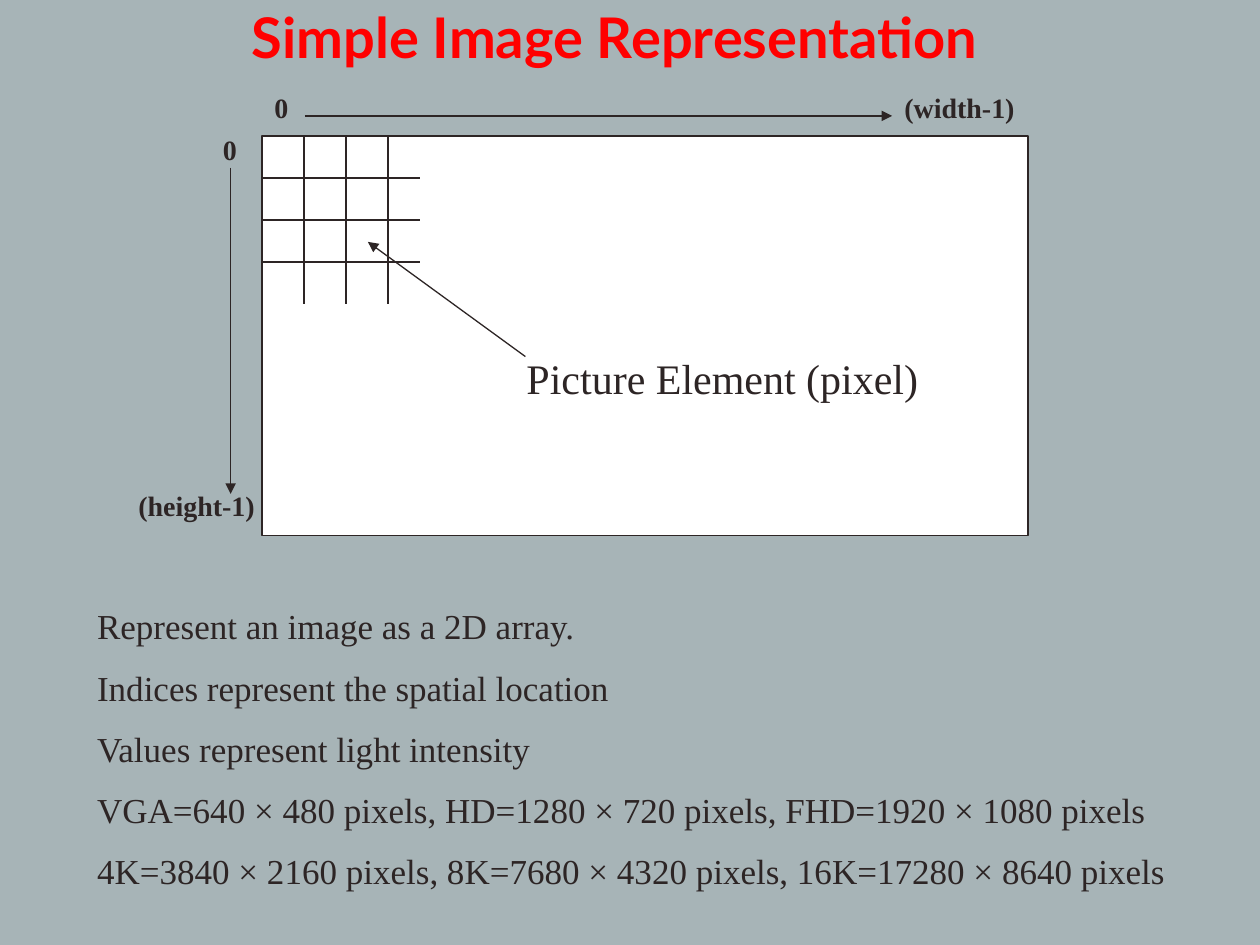
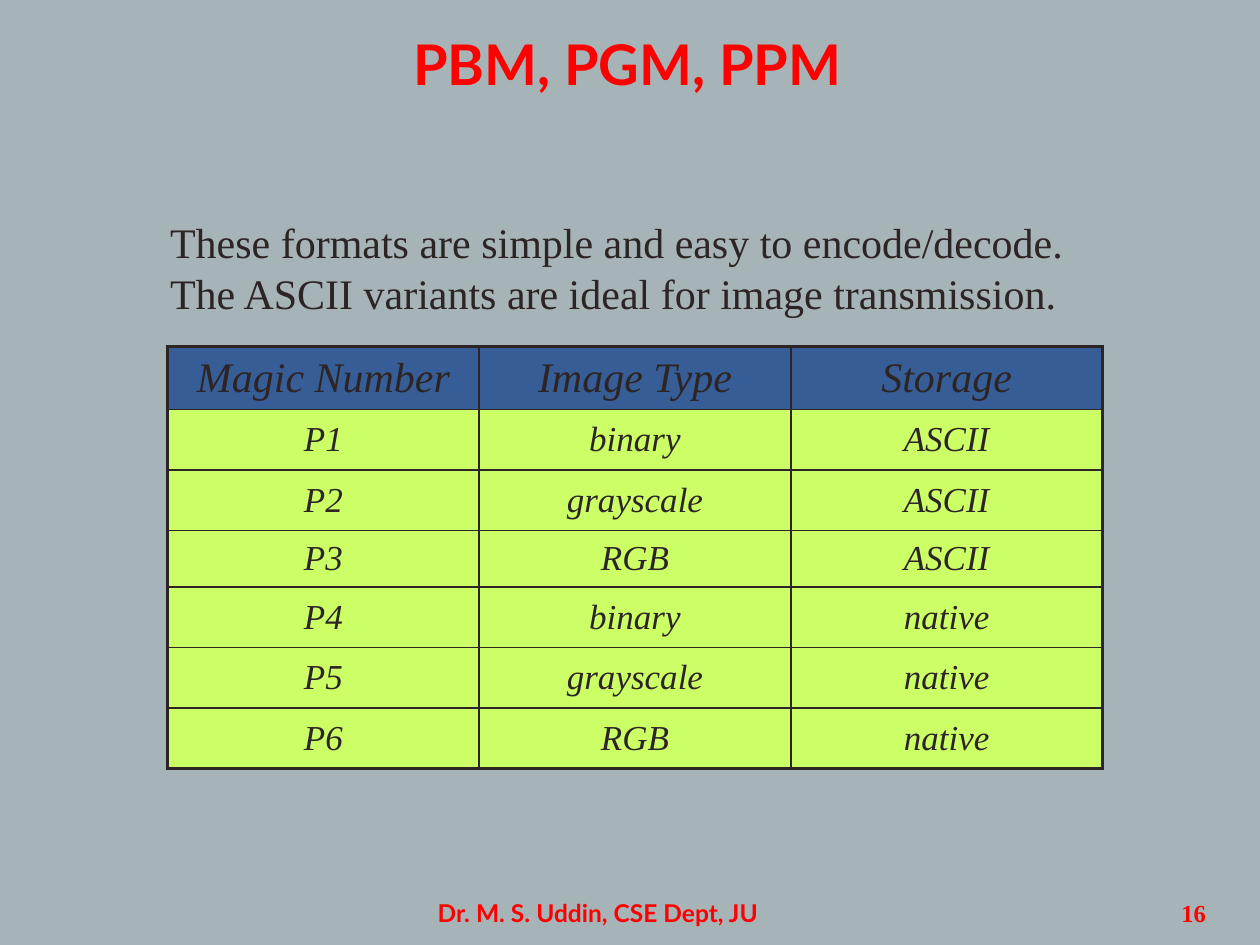
from dataclasses import dataclass

from lxml import etree
from pptx import Presentation
from pptx import util as u
from pptx.dml.color import RGBColor
from pptx.enum import shapes, text
from pptx.oxml import ns

Inches, Pt = u.Inches, u.Pt
ALIGN, ANCHOR = text.PP_ALIGN, text.MSO_ANCHOR


@dataclass(frozen=True)
class Theme:
    back: str = "A7B4B7"
    ink: str = "2D2525"
    red: str = "FF0000"
    white: str = "FFFFFF"
    header: str = "365D96"
    row: str = "CCFF66"
    serif: str = "Times New Roman"
    sans: str = "Lato"
    title: int = 32
    large: int = 24
    body: int = 20
    label: int = 16
    footer: int = 14
    thin: float = 0.75
    rule: float = 1
    edge: float = 2.25


THEME = Theme()

# Content: image grid
GRID_TITLE = "Simple Image Representation"
GRID_NOTES = [
    "Represent an image as a 2D array.",
    "Indices represent the spatial location",
    "Values represent light intensity",
    "VGA=640 × 480 pixels, HD=1280 × 720 pixels, FHD=1920 × 1080 pixels",
    "4K=3840 × 2160 pixels, 8K=7680 × 4320 pixels, 16K=17280 × 8640 pixels",
]
FRAME = (2.08, 1.08, 6.08, 3.17)
PIXEL = 1 / 3
GRID_LINES = 3
GRID_WIDTH, GRID_HEIGHT = 1.25, 1.33
AXIS_LABELS = [
    ("0", (2.08, 0.67, 0.33, 0.37)),
    ("(width-1)", (7.08, 0.67, 1.25, 0.37)),
    ("0", (1.67, 1, 0.33, 0.37)),
    ("(height-1)", (1, 3.83, 1.25, 0.37)),
]
PIXEL_LABEL = ("Picture Element (pixel)", (4.08, 2.75, 3.42, 0.5))
ARROWS = [  # pixel pointer, width axis, height axis
    ((4.17, 2.83), (2.92, 1.92)),
    ((2.42, 0.92), (7.08, 0.92)),
    ((1.83, 1.33), (1.83, 3.92)),
]

# Content: file formats
FORMAT_TITLE = "PBM, PGM, PPM"
FORMAT_NOTES = ["These formats are simple and easy to encode/decode. "
                "The ASCII variants are ideal for image transmission."]
FORMATS = [
    ("Magic Number", "Image Type", "Storage"),
    ("P1", "binary", "ASCII"),
    ("P2", "grayscale", "ASCII"),
    ("P3", "RGB", "ASCII"),
    ("P4", "binary", "native"),
    ("P5", "grayscale", "native"),
    ("P6", "RGB", "native"),
]
ROW_HEIGHTS = [0.5, 0.48, 0.48, 0.45, 0.48, 0.48, 0.48]
AUTHOR, PAGE_NUMBER = "Dr. M. S. Uddin, CSE Dept, JU", "16"


def inches(values):
    return [Inches(value) for value in values]


def rgb(value):
    return RGBColor.from_string(value)


def style(para, size, name=THEME.serif, color=THEME.ink, bold=False,
          italic=False, align=ALIGN.LEFT):
    para.alignment = align
    font = para.font
    font.size, font.name = Pt(size), name
    font.bold, font.italic = bold, italic
    font.color.rgb = rgb(color)


def place(shape, area):
    shape.left, shape.top, shape.width, shape.height = inches(area)
    shape.text_frame.auto_size = text.MSO_AUTO_SIZE.NONE


# Shared parts
def add_page(deck, title, title_area, notes, notes_area, size):
    page = deck.slides.add_slide(deck.slide_layouts[1])
    place(page.shapes.title, title_area)
    frame = page.shapes.title.text_frame
    frame.text = title
    frame.vertical_anchor = ANCHOR.MIDDLE
    style(frame.paragraphs[0], THEME.title, THEME.sans, THEME.red,
          bold=True, align=ALIGN.CENTER)

    body = page.placeholders[1]
    place(body, notes_area)
    body.text_frame.text = "\n".join(notes)
    for index, para in enumerate(body.text_frame.paragraphs):
        para.space_before = Pt(0.55 * size if index else 0)
        props = para._p.get_or_add_pPr()
        props.set("marL", "0")
        props.set("indent", "0")
        etree.SubElement(props, ns.qn("a:buNone"))
        style(para, size)
    return page


def add_label(page, words, area, size, **look):
    box = page.shapes.add_textbox(*inches(area))
    box.text_frame.word_wrap = True
    box.text_frame.text = words
    style(box.text_frame.paragraphs[0], size, **look)


def add_line(page, start, end, arrow=False):
    line = page.shapes.add_connector(
        shapes.MSO_CONNECTOR.STRAIGHT, *inches(start + end))
    line.line.color.rgb = rgb(THEME.ink)
    line.line.width = Pt(THEME.thin)
    if arrow:
        etree.SubElement(line.line._get_or_add_ln(), ns.qn("a:tailEnd"),
                         type="triangle")
    etree.SubElement(line._element.spPr, ns.qn("a:effectLst"))


def set_borders(cell, widths):
    props = cell._tc.get_or_add_tcPr()
    for side, width in zip("LRTB", widths):
        border = etree.SubElement(props, ns.qn(f"a:ln{side}"),
                                  w=str(Pt(width)))
        fill = etree.SubElement(border, ns.qn("a:solidFill"))
        etree.SubElement(fill, ns.qn("a:srgbClr"), val=THEME.ink)


# Image grid page
def build_grid_page(deck):
    page = add_page(deck, GRID_TITLE, (0.17, 0, 9.42, 0.58),
                    GRID_NOTES, (0.67, 4.75, 9.08, 2.7), THEME.body)
    image = page.shapes.add_shape(shapes.MSO_SHAPE.RECTANGLE, *inches(FRAME))
    image.shadow.inherit = False
    image.fill.solid()
    image.fill.fore_color.rgb = rgb(THEME.white)
    image.line.color.rgb = rgb(THEME.ink)
    image.line.width = Pt(THEME.thin)

    left, top = FRAME[:2]
    for step in range(1, GRID_LINES + 1):
        x, y = left + step * PIXEL, top + step * PIXEL
        add_line(page, (x, top), (x, top + GRID_HEIGHT))
        add_line(page, (left, y), (left + GRID_WIDTH, y))
    for start, end in ARROWS:
        add_line(page, start, end, arrow=True)
    for words, area in AXIS_LABELS:
        add_label(page, words, area, THEME.label, bold=True)
    add_label(page, *PIXEL_LABEL, THEME.large)


# File formats page
def build_format_page(deck):
    page = add_page(deck, FORMAT_TITLE, (0.27, 0.25, 9.42, 0.5),
                    FORMAT_NOTES, (1.25, 1.67, 7.42, 0.9), THEME.large)
    rows, columns = len(FORMATS), len(FORMATS[0])
    area = inches((1.33, 2.75, 7.42, sum(ROW_HEIGHTS)))
    table = page.shapes.add_table(rows, columns, *area).table
    for row, height in zip(table.rows, ROW_HEIGHTS):
        row.height = Inches(height)
    for r, values in enumerate(FORMATS):
        for c, value in enumerate(values):
            cell = table.cell(r, c)
            outer = (c == 0, c == columns - 1, r == 0, r == rows - 1)
            set_borders(cell, [THEME.edge if side else THEME.rule
                               for side in outer])
            cell.fill.solid()
            cell.fill.fore_color.rgb = rgb(THEME.row if r else THEME.header)
            cell.vertical_anchor = ANCHOR.MIDDLE
            cell.text = value
            style(cell.text_frame.paragraphs[0],
                  THEME.body if r else THEME.large,
                  italic=True, align=ALIGN.CENTER)

    add_label(page, AUTHOR, (3.08, 7.08, 3.33, 0.42), THEME.footer,
              name=THEME.sans, color=THEME.red, bold=True, align=ALIGN.CENTER)
    add_label(page, PAGE_NUMBER, (8, 7.08, 1.67, 0.42), THEME.footer,
              color=THEME.red, bold=True, align=ALIGN.RIGHT)


def main():
    deck = Presentation()
    deck.slide_width, deck.slide_height = Inches(10), Inches(7.5)
    backdrop = deck.slide_master.background.fill
    backdrop.solid()
    backdrop.fore_color.rgb = rgb(THEME.back)
    build_grid_page(deck)
    build_format_page(deck)
    deck.save("out.pptx")


if __name__ == "__main__":
    main()
